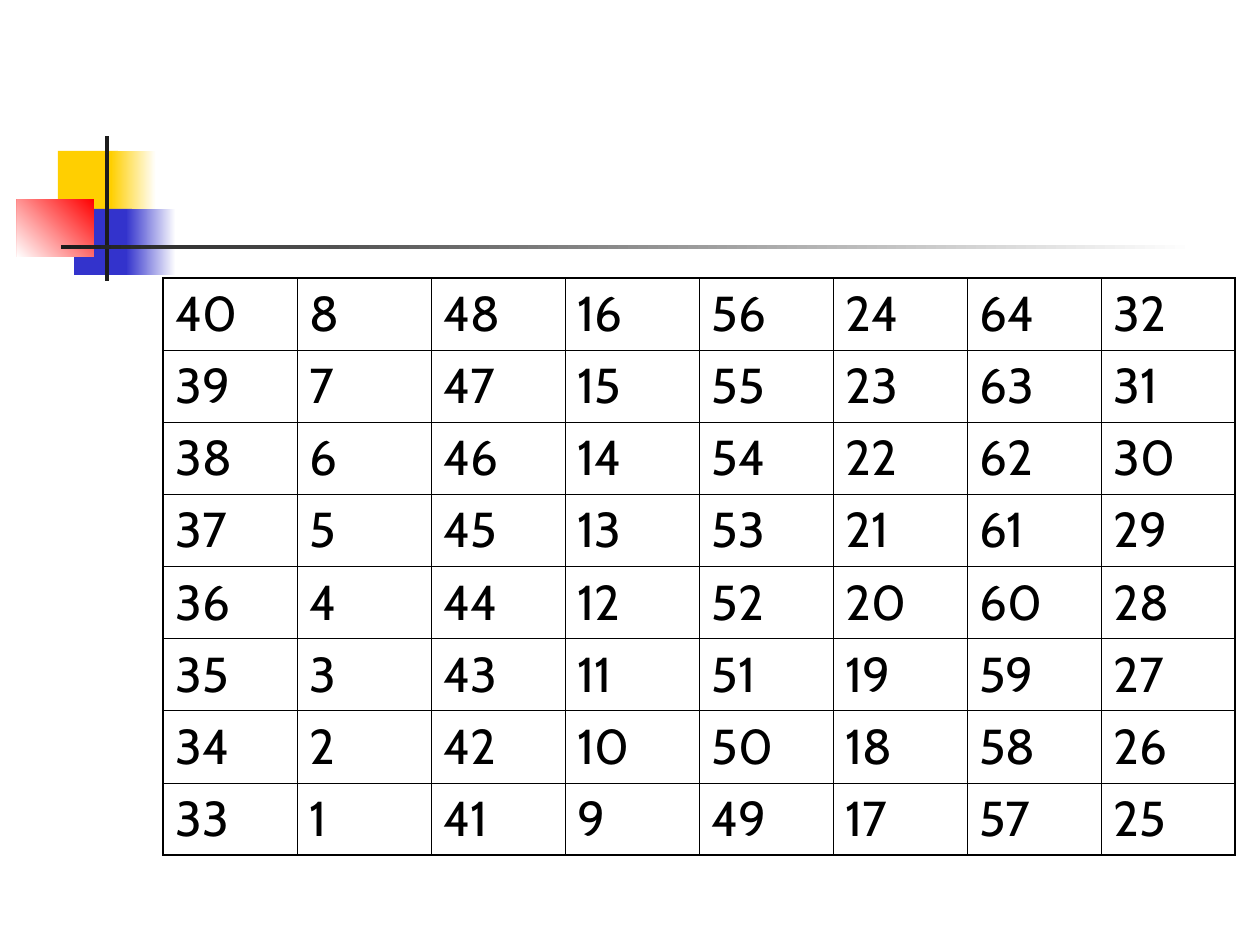
from typing import NamedTuple, Optional

import lxml.etree
import pptx
import pptx.dml.color
import pptx.enum.shapes
import pptx.oxml.ns
import pptx.util

EMU_PER_PX = 914400 / 126
COLORS = {
    "white": "FFFFFF",
    "black": "000000",
    "yellow": "FFCF01",
    "blue": "3333CC",
    "red": "FF0000",
    "charcoal": "1C1C1C",
}
FONT = "Cabin"
OUTER_PT, INNER_PT = 1.08, 0.45

# Number grid: each column counts down from its top value
TOP_VALUES = (40, 8, 48, 16, 56, 24, 64, 32)
ROW_COUNT = 8
GRID_LEFT, GRID_TOP = 163, 278
COLUMN_WIDTH, ROW_HEIGHT = 134, 72


class Block(NamedTuple):
    left: int
    top: int
    width: int
    height: int
    color: str
    end_color: Optional[str] = None
    angle: int = 0  # counter-clockwise degrees


ORNAMENT = (
    Block(58, 151, 60, 66, "yellow"),
    Block(111, 151, 45, 66, "white", "yellow", 180),
    Block(74, 209, 58, 66, "blue"),
    Block(126, 209, 50, 66, "white", "blue", 180),
    Block(17, 199, 77, 58, "red", "white", 225),
    Block(105, 136, 4, 145, "charcoal"),
    Block(61, 245, 1134, 4, "white", "charcoal", 180),
)


def px(length: int) -> pptx.util.Emu:
    return pptx.util.Emu(round(length * EMU_PER_PX))


def rgb(color: str) -> pptx.dml.color.RGBColor:
    return pptx.dml.color.RGBColor.from_string(COLORS[color])


def draw_block(slide, block: Block) -> None:
    rectangle = slide.shapes.add_shape(
        pptx.enum.shapes.MSO_SHAPE.RECTANGLE,
        px(block.left), px(block.top), px(block.width), px(block.height),
    )
    rectangle.shadow.inherit = False
    rectangle.line.fill.background()
    if block.end_color is None:
        rectangle.fill.solid()
        rectangle.fill.fore_color.rgb = rgb(block.color)
        return
    rectangle.fill.gradient()
    rectangle.fill.gradient_angle = block.angle
    for stop, color in zip(rectangle.fill.gradient_stops, (block.color, block.end_color)):
        stop.color.rgb = rgb(color)


def add_border(cell, side: str, width_pt: float) -> None:
    qn = pptx.oxml.ns.qn
    border = lxml.etree.SubElement(
        cell._tc.get_or_add_tcPr(), qn(f"a:ln{side}"), w=str(pptx.util.Pt(width_pt))
    )
    solid = lxml.etree.SubElement(border, qn("a:solidFill"))
    lxml.etree.SubElement(solid, qn("a:srgbClr"), val=COLORS["black"])


def draw_number_grid(slide) -> None:
    column_count = len(TOP_VALUES)
    grid = slide.shapes.add_table(
        ROW_COUNT, column_count, px(GRID_LEFT), px(GRID_TOP),
        px(COLUMN_WIDTH * column_count), px(ROW_HEIGHT * ROW_COUNT),
    ).table
    grid.first_row = False
    grid.horz_banding = False
    for row in range(ROW_COUNT):
        for column, top_value in enumerate(TOP_VALUES):
            cell = grid.cell(row, column)
            on_edge = {
                "L": column == 0,
                "R": column == column_count - 1,
                "T": row == 0,
                "B": row == ROW_COUNT - 1,
            }
            for side, outer in on_edge.items():
                add_border(cell, side, OUTER_PT if outer else INNER_PT)
            cell.fill.background()
            number = cell.text_frame.paragraphs[0]
            number.text = str(top_value - row)
            number.font.name = FONT
            number.font.size = pptx.util.Pt(28)
            number.font.color.rgb = rgb("black")


def main() -> None:
    presentation = pptx.Presentation()
    presentation.slide_width = px(1260)
    presentation.slide_height = px(945)
    slide = presentation.slides.add_slide(presentation.slide_layouts[6])

    # Coloured squares and crossing bars
    for block in ORNAMENT:
        draw_block(slide, block)

    draw_number_grid(slide)
    presentation.save("out.pptx")


if __name__ == "__main__":
    main()
